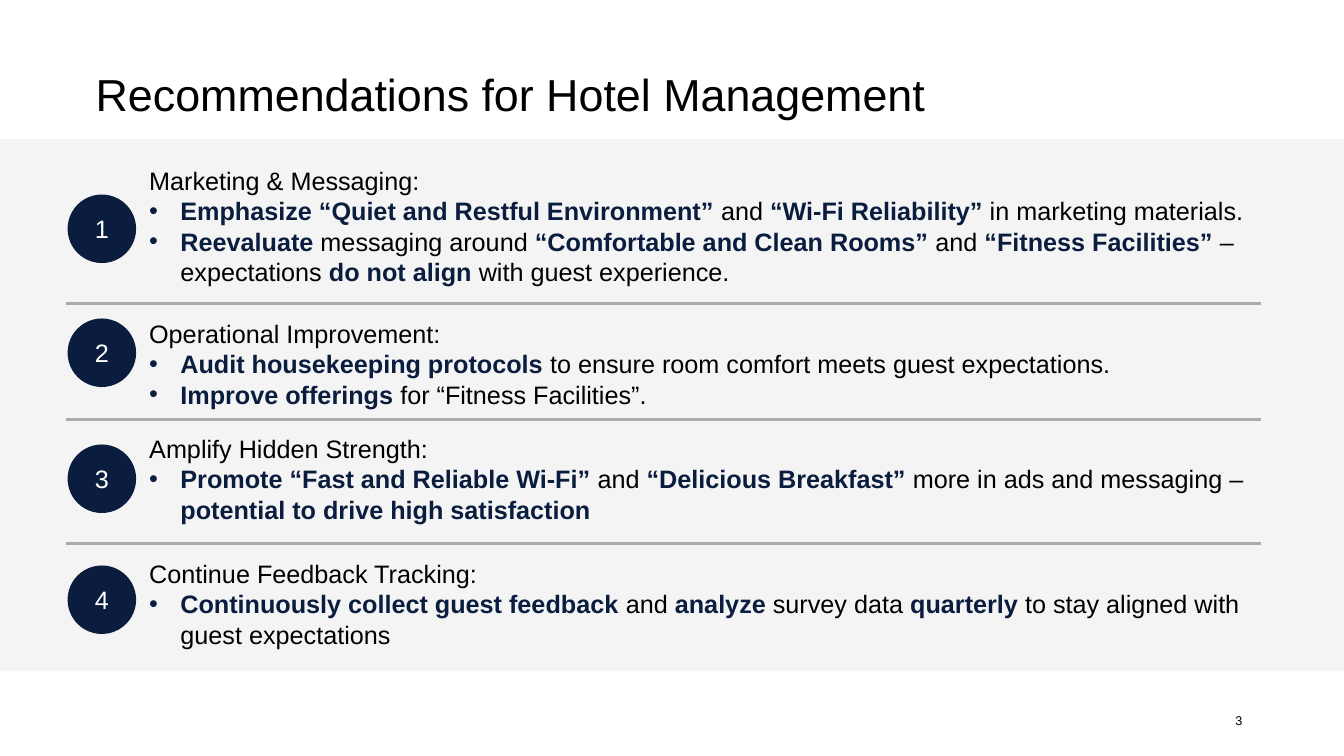
from lxml import etree
from pptx import Presentation
from pptx.dml.color import RGBColor
from pptx.enum import shapes, text
from pptx.oxml.ns import qn
from pptx.util import Inches, Pt

NAVY, BLACK, WHITE = "0B1D3F", "000000", "FFFFFF"
BAND, RULE = "F4F4F4", "ABABAB"


def paint(target, color):
    """Give a fill, line or font a solid colour."""
    if hasattr(target, "solid"):
        target.solid()
        target.fore_color.rgb = RGBColor.from_string(color)
    else:
        target.color.rgb = RGBColor.from_string(color)


def add_run(para, words, size=18, color=BLACK, bold=False):
    run = para.add_run()
    run.text = words
    font = run.font
    font.name, font.size, font.bold = "Arial", Pt(size), bold
    paint(font, color)


# Circle top, text top, text width, text height, heading, bullets.
# Parts of a bullet alternate between bold navy and plain black.
items = [
    (1.93, 1.6, 11.1, 1.29, "Marketing & Messaging:", [
        ["Emphasize “Quiet and Restful Environment”", " and ",
         "“Wi-Fi Reliability”", " in marketing materials."],
        ["Reevaluate", " messaging around ", "“Comfortable and Clean Rooms” ",
         "and", " “Fitness Facilities”", " – expectations ", "do not align",
         " with guest experience."]]),
    (3.16, 3.12, 11.1, 0.98, "Operational Improvement:", [
        ["Audit housekeeping protocols",
         " to ensure room comfort meets guest expectations."],
        ["Improve offerings", " for “Fitness Facilities”."]]),
    (4.41, 4.26, 11.01, 0.98, "Amplify Hidden Strength:", [
        ["Promote “Fast and Reliable Wi-Fi” ", "and", " “Delicious Breakfast”",
         " more in ads and messaging – ",
         "potential to drive high satisfaction"]]),
    (5.61, 5.5, 11.1, 0.98, "Continue Feedback Tracking:", [
        ["Continuously collect guest feedback", " and ", "analyze",
         " survey data ", "quarterly",
         " to stay aligned with guest expectations"]]),
]

deck = Presentation()
deck.slide_width, deck.slide_height = Inches(13.33), Inches(7.5)
slide = deck.slides.add_slide(deck.slide_layouts[6])
parts = slide.shapes

band = parts.add_shape(shapes.MSO_SHAPE.RECTANGLE, 0, Inches(1.38),
                       Inches(13.33), Inches(5.28))
band.shadow.inherit = False
paint(band.fill, BAND)
band.line.fill.background()

title = parts.add_textbox(Inches(0.85), Inches(0.61), Inches(11.72), Inches(0.64))
frame = title.text_frame
frame.word_wrap = True
frame.auto_size = text.MSO_AUTO_SIZE.SHAPE_TO_FIT_TEXT
add_run(frame.paragraphs[0], "Recommendations for Hotel Management", 32)

number = parts.add_textbox(Inches(9.42), Inches(6.95), Inches(3), Inches(0.4))
frame = number.text_frame
frame.word_wrap = True
frame.vertical_anchor = text.MSO_ANCHOR.MIDDLE
frame.paragraphs[0].alignment = text.PP_ALIGN.RIGHT
add_run(frame.paragraphs[0], "3", 9)

for y in (3.01, 4.16, 5.39):
    rule = parts.add_connector(shapes.MSO_CONNECTOR.STRAIGHT, Inches(0.65),
                               Inches(y), Inches(12.51), Inches(y))
    paint(rule.line, RULE)
    rule.line.width = Pt(2)
    etree.SubElement(rule._element.spPr, qn("a:effectLst"))

for count, (disc_y, y, width, height, heading, bullets) in enumerate(items, 1):
    disc = parts.add_shape(shapes.MSO_SHAPE.OVAL, Inches(0.67), Inches(disc_y),
                           Inches(0.68), Inches(0.68))
    disc.shadow.inherit = False
    paint(disc.fill, NAVY)
    disc.line.fill.background()
    frame = disc.text_frame
    frame.vertical_anchor = text.MSO_ANCHOR.MIDDLE
    frame.paragraphs[0].alignment = text.PP_ALIGN.CENTER
    add_run(frame.paragraphs[0], str(count), color=WHITE)

    box = parts.add_textbox(Inches(1.41), Inches(y), Inches(width), Inches(height))
    frame = box.text_frame
    frame.word_wrap = True
    frame.auto_size = text.MSO_AUTO_SIZE.SHAPE_TO_FIT_TEXT
    frame.margin_left = frame.margin_right = Inches(0.07)
    frame.margin_top = frame.margin_bottom = Inches(0.04)
    add_run(frame.paragraphs[0], heading)
    for bullet in bullets:
        para = frame.add_paragraph()
        props = para._p.get_or_add_pPr()
        props.set("marL", str(Inches(0.31)))
        props.set("indent", str(-Inches(0.31)))
        etree.SubElement(props, qn("a:buFont"), typeface="Arial")
        etree.SubElement(props, qn("a:buChar"), char="•")
        for place, words in enumerate(bullet):
            strong = place % 2 == 0
            add_run(para, words, color=NAVY if strong else BLACK, bold=strong)

deck.save("out.pptx")
